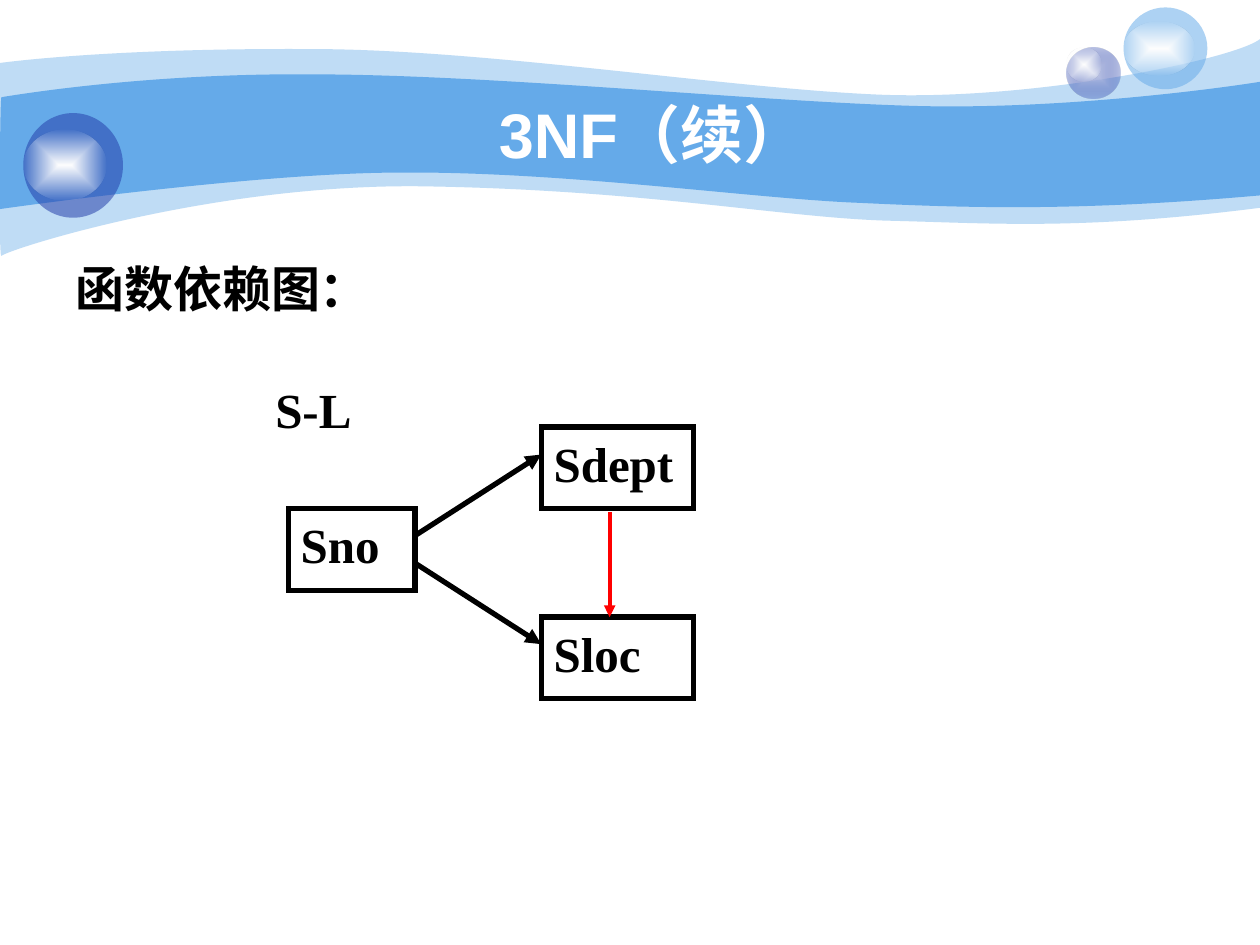
import pptx
import pptx.util
import pptx.dml.color
import pptx.enum.shapes
import pptx.enum.text
import pptx.oxml
import pptx.oxml.ns
from dataclasses import dataclass

Cm, Pt = pptx.util.Cm, pptx.util.Pt
SHAPE = pptx.enum.shapes.MSO_SHAPE
ANCHOR = pptx.enum.text.MSO_ANCHOR
ALIGN = pptx.enum.text.PP_ALIGN
NS = pptx.oxml.ns.nsdecls("a")
qn = pptx.oxml.ns.qn


@dataclass(frozen=True)
class Theme:
    sky: str = "65AAE9"
    navy: str = "233DA9"
    lilac: str = "C7CEE9"
    white: str = "FFFFFF"
    black: str = "000000"
    red: str = "FF0000"
    heading_font: str = "Arial"
    diagram_font: str = "Times New Roman"
    title_size: int = 36
    text_size: int = 28
    box_line: float = 3
    red_line: float = 2.25


T = Theme()
GLOSS = [(0, T.white, 100), (100, T.white, 0)]

# Start point, then (control, control, end) curves or (end,) edges, in cm
PALE_BAND = [
    (0, 1.27),
    ((0.61, 1.19), (2.72, 0.97), (6.27, 0.99)),
    ((9.8, 0.99), (14.61, 1.78), (17.75, 1.91)),
    ((20.88, 2.03), (24.89, 1.19), (25.4, 0.79)),
    ((25.4, 4.19),),
    ((21.79, 4.65), (19.99, 4.5), (17.91, 4.45)),
    ((15.8, 4.39), (13.08, 3.84), (8.71, 3.76)),
    ((4.37, 3.66), (0.1, 5.05), (0.03, 5.16)),
    ((-0.03, 5.28), (0, 1.91), (0, 1.27)),
]
DEEP_BAND = [
    (0.03, 1.96),
    ((0.05, 1.96), (2.79, 1.47), (6.3, 1.5)),
    ((9.8, 1.5), (15.11, 2.03), (18.24, 2.13)),
    ((21.36, 2.24), (24.79, 1.75), (25.4, 1.65)),
    ((25.4, 3.94),),
    ((21.67, 4.27), (19.43, 4.19), (17.32, 4.09)),
    ((15.21, 4.01), (11.35, 3.45), (8.05, 3.48)),
    ((5.16, 3.48), (-0.05, 4.22), (-0.03, 4.22)),
    ((0, 4.22), (0, 1.96), (0.03, 1.96)),
]


def rgb(color):
    return pptx.dml.color.RGBColor.from_string(color)


def paint(sp, stops):
    """Fill with (position, colour, opacity) stops; a single stop is solid."""
    sp.shadow.inherit = False
    sp.line.fill.background()
    sp.fill.solid()
    colors = [f'<a:srgbClr val="{c}"><a:alpha val="{a * 1000}"/></a:srgbClr>'
              for _, c, a in stops]
    if len(stops) == 1:
        xml = f"<a:solidFill {NS}>{colors[0]}</a:solidFill>"
    else:
        marks = "".join(f'<a:gs pos="{s[0] * 1000}">{c}</a:gs>'
                        for s, c in zip(stops, colors))
        xml = (f'<a:gradFill {NS} rotWithShape="1"><a:gsLst>{marks}</a:gsLst>'
               '<a:path path="rect"><a:fillToRect l="50000" t="50000" '
               'r="50000" b="50000"/></a:path></a:gradFill>')
    old = sp._element.spPr.find(qn("a:solidFill"))
    old.getparent().replace(old, pptx.oxml.parse_xml(xml))


def write(sp, text, anchor=ANCHOR.TOP, align=ALIGN.JUSTIFY, **formats):
    tf = sp.text_frame
    tf.word_wrap = True
    tf.vertical_anchor = anchor
    p = tf.paragraphs[0]
    p.alignment = align
    r = p.add_run()
    r.text = text
    style = {"name": T.diagram_font, "size": Pt(T.text_size), "bold": True}
    color = formats.pop("color", T.black)
    for key, value in {**style, **formats}.items():
        setattr(r.font, key, value)
    r.font.color.rgb = rgb(color)


def band(s, outline, opacity):
    start, *parts = outline
    fb = s.shapes.build_freeform(*map(Cm, start))
    fb.add_line_segments([tuple(map(Cm, part[-1])) for part in parts])
    sp = fb.convert_to_shape()
    # Bend the straight segments into cubic curves
    for edge, part in zip(list(sp._element.iter(qn("a:lnTo"))), parts):
        if len(part) == 3:
            points = "".join(
                f'<a:pt x="{Cm(x) - sp.left}" y="{Cm(y) - sp.top}"/>'
                for x, y in part)
            edge.getparent().replace(edge, pptx.oxml.parse_xml(
                f"<a:cubicBezTo {NS}>{points}</a:cubicBezTo>"))
    paint(sp, [(0, T.sky, opacity)])


def ball(s, box, stops, drop, gloss_w, gloss_h):
    x, y, w, h = box
    parts = [((x, y, w, h), stops), ((x, y + drop, gloss_w, gloss_h), GLOSS)]
    for place, fill in parts:
        paint(s.shapes.add_shape(SHAPE.OVAL, *map(Cm, place)), fill)


def banner(s):
    band(s, PALE_BAND, 41)
    band(s, DEEP_BAND, 100)
    ball(s, (21.5, 0.95, 1.09, 1.03),
         [(0, T.lilac, 100), (100, T.navy, 31)], 0, 0.71, 0.69)
    ball(s, (22.65, 0.15, 1.69, 1.65), [(0, T.sky, 53)], 0.28, 1.42, 1.09)
    ball(s, (0.47, 2.28, 2.01, 2.11), [(0, T.navy, 53)], 0.34, 1.67, 1.42)


def heading(s, box, text, **formats):
    sp = s.shapes.add_textbox(*map(Cm, box))
    write(sp, text, name=T.heading_font, **formats)


def arrow(s, x1, y1, x2, y2, color, width):
    cx = s.shapes.add_connector(pptx.enum.shapes.MSO_CONNECTOR.STRAIGHT,
                                *map(Cm, (x1, y1, x2, y2)))
    cx.line.color.rgb = rgb(color)
    cx.line.width = Pt(width)
    cx.line._get_or_add_ln().append(
        pptx.oxml.parse_xml(f'<a:tailEnd {NS} type="triangle"/>'))
    cx._element.spPr.append(pptx.oxml.parse_xml(f"<a:effectLst {NS}/>"))


def dependency_diagram(s, x, y):
    h, wide, narrow = 1.65, 3.07, 2.56
    sno_x, sno_y = x + 0.51, y + 2.73
    right_x, dept_y, loc_y = x + 5.61, y + 1.09, y + 4.92

    # Relation name and attribute boxes
    write(s.shapes.add_textbox(*map(Cm, (x, y, wide, h))), "S-L")
    for text, left, top, w in [("Sno", sno_x, sno_y, narrow),
                               ("Sdept", right_x, dept_y, wide),
                               ("Sloc", right_x, loc_y, wide)]:
        sp = s.shapes.add_shape(SHAPE.RECTANGLE, *map(Cm, (left, top, w, h)))
        sp.shadow.inherit = False
        sp.fill.background()
        sp.line.color.rgb = rgb(T.black)
        sp.line.width = Pt(T.box_line)
        sp.line._get_or_add_ln().append(
            pptx.oxml.parse_xml(f'<a:miter {NS} lim="800000"/>'))
        write(sp, text)

    # Direct dependencies fan out from Sno, the transitive one is red
    middle = sno_y + h / 2
    for side in (-1, 1):
        arrow(s, sno_x + narrow, middle + side * 0.28,
              right_x, middle + side * 1.91, T.black, T.box_line)
    arrow(s, x + 6.99, dept_y + h + 0.07, x + 6.99, loc_y, T.red, T.red_line)


def main():
    prs = pptx.Presentation()
    prs.slide_width, prs.slide_height = Cm(25.4), Cm(19.05)
    s = prs.slides.add_slide(prs.slide_layouts[6])
    banner(s)
    heading(s, (2.9, 1.9, 20.52, 1.57), "3NF（续）", anchor=ANCHOR.MIDDLE,
            align=ALIGN.CENTER, size=Pt(T.title_size), color=T.white)
    heading(s, (1.27, 5.08, 22.86, 12.5), "函数依赖图：", align=ALIGN.LEFT)
    dependency_diagram(s, 5.3, 7.52)
    prs.save("out.pptx")


if __name__ == "__main__":
    main()
